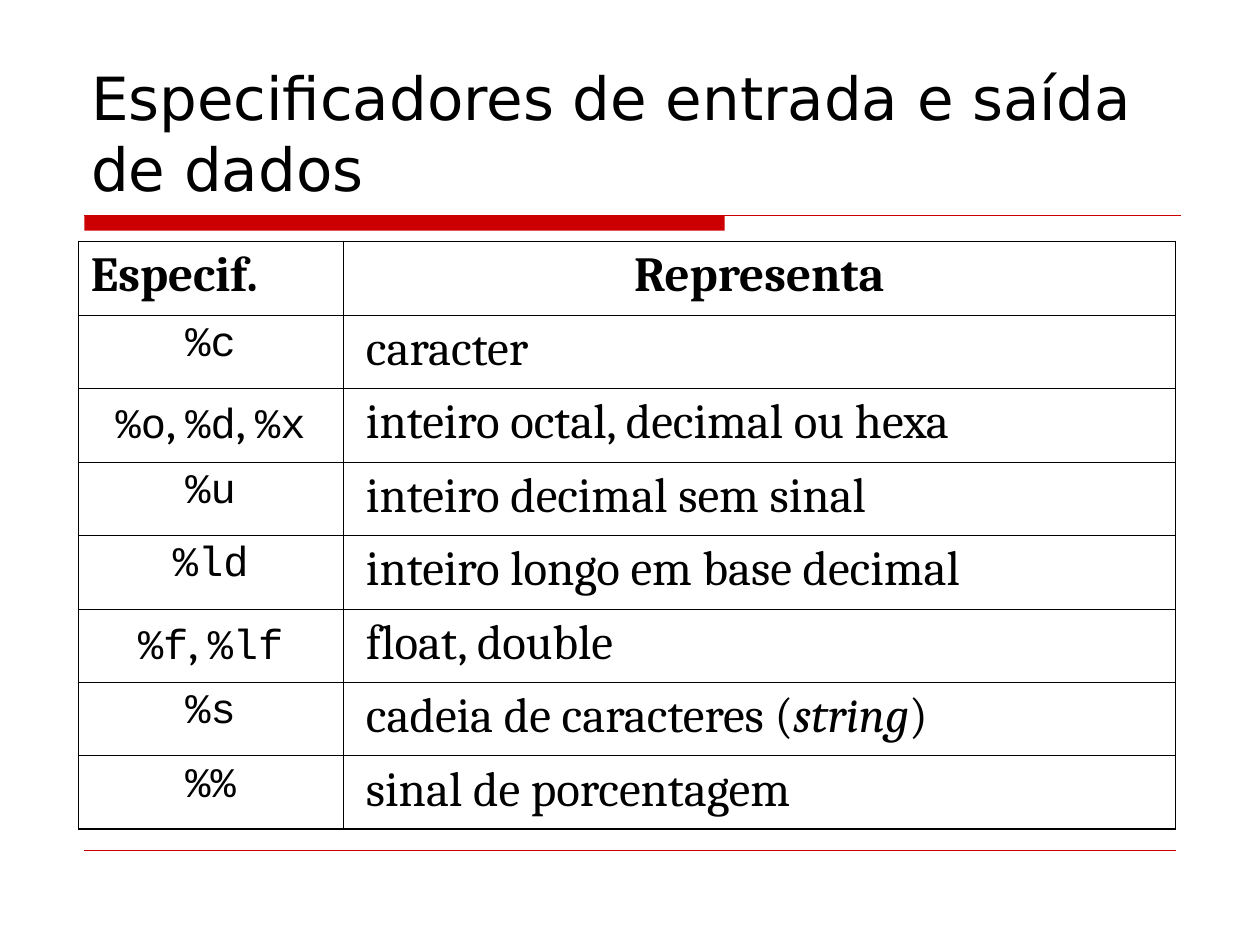
from lxml import etree
from pptx import Presentation
from pptx.dml.color import RGBColor
from pptx.enum import shapes, text
from pptx.oxml import ns
from pptx.util import Pt

# Content
TITLE = "Especificadores de entrada e saída de dados"
HEADER = ("Especif.", "Representa")
# Specifiers, then the meaning as (text, italic) spans
ROWS = [
    (["%c"], [("caracter", False)]),
    (["%o", "%d", "%x"], [("inteiro octal, decimal ou hexa", False)]),
    (["%u"], [("inteiro decimal sem sinal", False)]),
    (["%ld"], [("inteiro longo em base decimal", False)]),
    (["%f", "%lf"], [("float, double", False)]),
    (["%s"], [("cadeia de caracteres (", False), ("string", True), (")", False)]),
    (["%%"], [("sinal de porcentagem", False)]),
]

THEME = {
    "ink": RGBColor(0, 0, 0),
    "accent": RGBColor(0xCC, 0, 0),
    "paper": RGBColor(255, 255, 255),
    "title": ("DejaVu Sans", 34),
    "body": ("Cambria", 28),
    "code": ("Courier New", 24),
}

# Layout, in points
TABLE_LEFT, TABLE_TOP = 44.8, 138
COLUMNS = (151.2, 475.8)
ROW_HEIGHT = 42
RULE_LEFT, RULE_TOP = 48.2, 123.2
MEANING_INSET = 13.2
GRID, HEADER_RULE, OUTER = 0.34, 0.45, 0.96


def style(font, role, bold=False, italic=False):
    font.name, size = THEME[role]
    font.size = Pt(size)
    font.color.rgb = THEME["ink"]
    font.bold, font.italic = bold, italic


def add_span(para, words, role, italic=False):
    span = para.add_run()
    span.text = words
    style(span.font, role, italic=italic)


def add_rule(slide, right, y, width):
    rule = slide.shapes.add_connector(
        shapes.MSO_CONNECTOR.STRAIGHT, Pt(RULE_LEFT), Pt(y), Pt(right), Pt(y))
    rule.line.color.rgb = THEME["accent"]
    rule.line.width = Pt(width)
    etree.SubElement(rule._element.spPr, ns.qn("a:effectLst"))


def set_borders(cell, top, bottom):
    properties = cell._tc.get_or_add_tcPr()
    sides = (("lnL", GRID), ("lnR", GRID), ("lnT", top), ("lnB", bottom))
    for position, (side, width) in enumerate(sides):
        line = etree.Element(ns.qn(f"a:{side}"), w=str(Pt(width)))
        fill = etree.SubElement(line, ns.qn("a:solidFill"))
        etree.SubElement(fill, ns.qn("a:srgbClr"), val=str(THEME["ink"]))
        properties.insert(position, line)


def add_title(slide):
    box = slide.shapes.add_textbox(Pt(45), Pt(24), Pt(630), Pt(96))
    frame = box.text_frame
    frame.word_wrap = True
    frame.vertical_anchor = text.MSO_ANCHOR.BOTTOM
    para = frame.paragraphs[0]
    para.text = TITLE
    style(para.font, "title")


def add_rules(slide):
    # Thick bar with a thin line along its top, and a footer line
    bar = slide.shapes.add_shape(
        shapes.MSO_SHAPE.RECTANGLE, Pt(RULE_LEFT), Pt(RULE_TOP), Pt(366), Pt(8.6))
    bar.shadow.inherit = False
    bar.fill.solid()
    bar.fill.fore_color.rgb = THEME["accent"]
    bar.line.fill.background()
    add_rule(slide, 674.8, RULE_TOP, 0.75)
    add_rule(slide, 672, 486, 0.25)


def add_specifier_table(slide):
    count = len(ROWS) + 1
    table = slide.shapes.add_table(
        count, len(COLUMNS), Pt(TABLE_LEFT), Pt(TABLE_TOP),
        Pt(sum(COLUMNS)), Pt(ROW_HEIGHT * count)).table
    table.first_row = table.horz_banding = False
    for column, width in zip(table.columns, COLUMNS):
        column.width = Pt(width)

    # Grid
    for index, row in enumerate(table.rows):
        row.height = Pt(ROW_HEIGHT)
        top = {0: OUTER, 1: HEADER_RULE}.get(index, GRID)
        bottom = {0: HEADER_RULE, count - 1: OUTER}.get(index, GRID)
        for cell in row.cells:
            cell.fill.solid()
            cell.fill.fore_color.rgb = THEME["paper"]
            set_borders(cell, top, bottom)

    # Header
    alignments = (text.PP_ALIGN.LEFT, text.PP_ALIGN.CENTER)
    for column, (words, alignment) in enumerate(zip(HEADER, alignments)):
        para = table.cell(0, column).text_frame.paragraphs[0]
        para.text = words
        para.alignment = alignment
        style(para.font, "body", bold=True)

    # Specifiers and their meanings
    for index, (specifiers, meaning) in enumerate(ROWS, start=1):
        para = table.cell(index, 0).text_frame.paragraphs[0]
        para.alignment = text.PP_ALIGN.CENTER
        for place, specifier in enumerate(specifiers):
            if place:
                add_span(para, ", ", "body")
            add_span(para, specifier, "code")

        cell = table.cell(index, 1)
        cell.margin_left = Pt(MEANING_INSET)
        para = cell.text_frame.paragraphs[0]
        para.alignment = text.PP_ALIGN.JUSTIFY
        for words, italic in meaning:
            add_span(para, words, "body", italic)


def main():
    deck = Presentation()
    deck.slide_width, deck.slide_height = Pt(720), Pt(540)
    slide = deck.slides.add_slide(deck.slide_layouts[6])
    add_rules(slide)
    add_title(slide)
    add_specifier_table(slide)
    deck.save("out.pptx")


if __name__ == "__main__":
    main()
